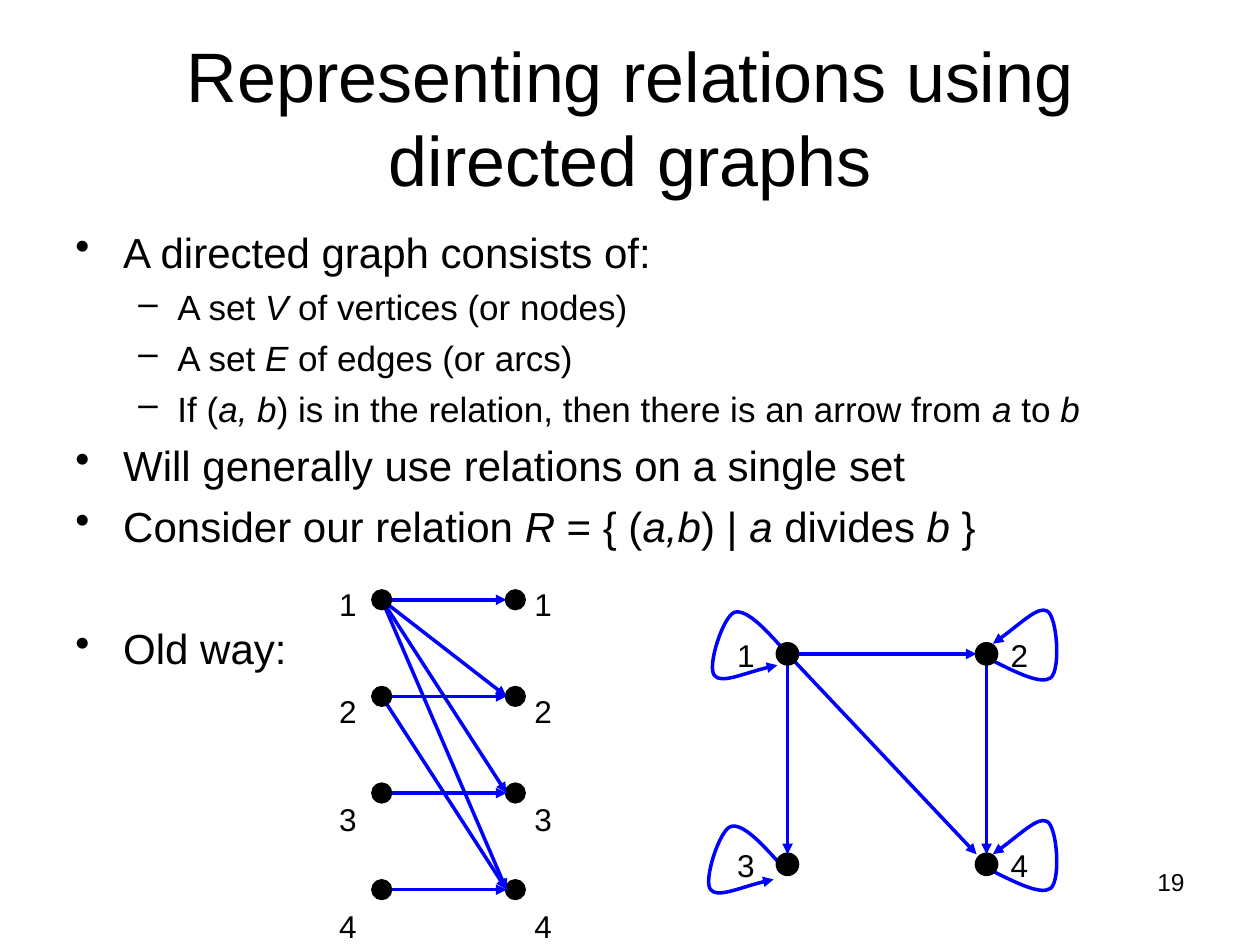
from typing import NamedTuple

from lxml.etree import SubElement
from pptx import Presentation
from pptx.dml.color import RGBColor
from pptx.enum.shapes import MSO_CONNECTOR, MSO_SHAPE
from pptx.enum.text import MSO_ANCHOR, PP_ALIGN
from pptx.oxml.ns import qn
from pptx.util import Inches, Pt

BLACK = RGBColor(0x00, 0x00, 0x00)
BLUE = RGBColor(0x00, 0x00, 0xFF)
FONT = "Arial"


class Point(NamedTuple):
    x: float
    y: float


class Bullet(NamedTuple):
    text: str  # *asterisks* enclose italics
    level: int = 0
    before: float = 6


class Level(NamedTuple):
    size: int
    indent: float
    hanging: float
    mark: str


LEVELS = [Level(24, 0.38, 0.38, "•"), Level(20, 0.81, 0.31, "–")]
BULLETS = [
    Bullet("A directed graph consists of:"),
    Bullet("A set *V* of vertices (or nodes)", 1, 5),
    Bullet("A set *E* of edges (or arcs)", 1, 5),
    Bullet("If (*a, b*) is in the relation, then there is an arrow from *a* to *b*", 1, 5),
    Bullet("Will generally use relations on a single set"),
    Bullet("Consider our relation *R* = { (*a,b*) | *a* divides *b* }"),
    Bullet("Old way:", before=41),
]

# Pairs (a, b) where a divides b
RELATION = [(a, b) for a in range(1, 5) for b in range(a, 5) if b % a == 0]

# Two-column diagram
ROWS = {n: 4.76 + 0.767 * (n - 1) for n in range(1, 5)}
LEFT_X, RIGHT_X = 3.03, 4.09

# Directed graph
VERTICES = {1: Point(6.25, 5.19), 2: Point(7.83, 5.19),
            3: Point(6.25, 6.86), 4: Point(7.83, 6.86)}
VERTEX_RADIUS = 0.08

# Bezier points of the self-loops, measured from where they start
LEFT_LOOP = [(0, 0), (-0.16, -0.18), (-0.32, -0.36), (-0.42, -0.33),
             (-0.51, -0.30), (-0.64, 0.10), (-0.58, 0.17),
             (-0.53, 0.24), (-0.32, 0.14), (-0.08, 0.09)]
RIGHT_LOOP = [(0, 0), (0.22, 0.11), (0.43, 0.22), (0.51, 0.16),
              (0.59, 0.09), (0.56, -0.33), (0.48, -0.37),
              (0.41, -0.41), (0.25, -0.25), (0.05, -0.11)]
LOOPS = [(Point(6.25, 5.19), LEFT_LOOP), (Point(6.22, 6.89), LEFT_LOOP),
         (Point(7.83, 5.22), RIGHT_LOOP), (Point(7.83, 6.89), RIGHT_LOOP)]


def add_text(slide, left: float, top: float, width: float, height: float,
             lines: list[str], size: int, align, wrap: bool = True):
    frame = slide.shapes.add_textbox(
        Inches(left), Inches(top), Inches(width), Inches(height)).text_frame
    frame.word_wrap = wrap
    frame.text = "\n".join(lines)
    for paragraph in frame.paragraphs:
        paragraph.alignment = align
        paragraph.font.size = Pt(size)
        paragraph.font.name = FONT
        paragraph.font.color.rgb = BLACK
    return frame


def add_labels(slide, left: float, top: float, height: float, labels: list[str]) -> None:
    frame = add_text(slide, left, top, 0.34, height, labels, 18, PP_ALIGN.CENTER, wrap=False)
    for index, paragraph in enumerate(frame.paragraphs):
        paragraph.line_spacing = 1.45
        if index:
            paragraph.space_before = Pt(30)


def add_bullets(slide) -> None:
    plain = [bullet.text.replace("*", "") for bullet in BULLETS]
    frame = add_text(slide, 0.5, 1.75, 9, 5.33, plain, 24, PP_ALIGN.JUSTIFY)
    for paragraph, bullet in zip(frame.paragraphs, BULLETS):
        level = LEVELS[bullet.level]
        paragraph.clear()
        for index, part in enumerate(bullet.text.split("*")):
            if part:
                run = paragraph.add_run()
                run.text = part
                run.font.italic = index % 2 == 1
        paragraph.level = bullet.level
        paragraph.font.size = Pt(level.size)
        paragraph.space_before = Pt(bullet.before)
        # Bullet mark and hanging indent
        properties = paragraph._p.get_or_add_pPr()
        properties.set("marL", str(Inches(level.indent)))
        properties.set("indent", str(-Inches(level.hanging)))
        mark = SubElement(properties, qn("a:buChar"))
        mark.set("char", level.mark)
        properties.insert(properties.index(properties.find(qn("a:defRPr"))), mark)


def style_arrow(arrow) -> None:
    arrow.line.color.rgb = BLUE
    arrow.line.width = Pt(2)
    properties = arrow._element.spPr
    SubElement(properties.find(qn("a:ln")), qn("a:tailEnd")).set("type", "triangle")


def add_arrow(slide, start: Point, end: Point) -> None:
    arrow = slide.shapes.add_connector(
        MSO_CONNECTOR.STRAIGHT, Inches(start.x), Inches(start.y), Inches(end.x), Inches(end.y))
    style_arrow(arrow)
    SubElement(arrow._element.spPr, qn("a:effectLst"))


def add_loop(slide, start: Point, offsets: list[tuple[float, float]]) -> None:
    points = [(Inches(start.x + dx), Inches(start.y + dy)) for dx, dy in offsets]
    builder = slide.shapes.build_freeform(*points[0])
    builder.add_line_segments(points[1:], close=False)
    loop = builder.convert_to_shape()
    loop.shadow.inherit = False
    loop.fill.background()
    style_arrow(loop)
    # Each three points become one cubic curve
    outline = next(loop._element.iter(qn("a:path")))
    segments = outline.findall(qn("a:lnTo"))
    for first in range(0, len(segments), 3):
        curve = SubElement(outline, qn("a:cubicBezTo"))
        for segment in segments[first:first + 3]:
            curve.append(segment[0])
            outline.remove(segment)


def add_dot(slide, center: Point, radius: float) -> None:
    dot = slide.shapes.add_shape(
        MSO_SHAPE.OVAL, Inches(center.x - radius), Inches(center.y - radius),
        Inches(2 * radius), Inches(2 * radius))
    dot.shadow.inherit = False
    dot.fill.solid()
    dot.fill.fore_color.rgb = BLACK
    dot.line.color.rgb = BLACK
    dot.line.width = Pt(2)


def add_columns(slide) -> None:
    numbers = [str(n) for n in ROWS]
    add_labels(slide, 4.14, 4.46, 3.04, numbers)
    for y in ROWS.values():
        add_dot(slide, Point(RIGHT_X, y), 0.07)
    for a, b in RELATION:
        add_arrow(slide, Point(LEFT_X, ROWS[a]), Point(RIGHT_X - 0.07, ROWS[b]))
    add_labels(slide, 2.59, 4.46, 3.04, numbers)
    for y in ROWS.values():
        add_dot(slide, Point(LEFT_X, y), 0.07)


def add_graph(slide) -> None:
    for number, vertex in VERTICES.items():
        left = 5.75 if number % 2 else 7.92
        add_labels(slide, left, vertex.y - 0.33, 0.52, [str(number)])
    for start, offsets in LOOPS:
        add_loop(slide, start, offsets)
    for a, b in RELATION:
        if a != b:
            start, end = VERTICES[a], VERTICES[b]
            tip = Point(end.x - VERTEX_RADIUS * (end.x > start.x),
                        end.y - VERTEX_RADIUS * (end.y > start.y))
            add_arrow(slide, start, tip)
    for vertex in VERTICES.values():
        add_dot(slide, vertex, VERTEX_RADIUS)


def main() -> None:
    deck = Presentation()
    deck.slide_width, deck.slide_height = Inches(10), Inches(7.5)
    slide = deck.slides.add_slide(deck.slide_layouts[6])

    title = add_text(slide, 0.5, 0.3, 9, 1.25,
                     ["Representing relations using directed graphs"], 40, PP_ALIGN.CENTER)
    title.vertical_anchor = MSO_ANCHOR.MIDDLE
    add_bullets(slide)
    add_columns(slide)
    add_graph(slide)
    # Slide number
    add_text(slide, 7.17, 6.83, 2.33, 0.52, ["19"], 14, PP_ALIGN.RIGHT)

    deck.save("out.pptx")


if __name__ == "__main__":
    main()
